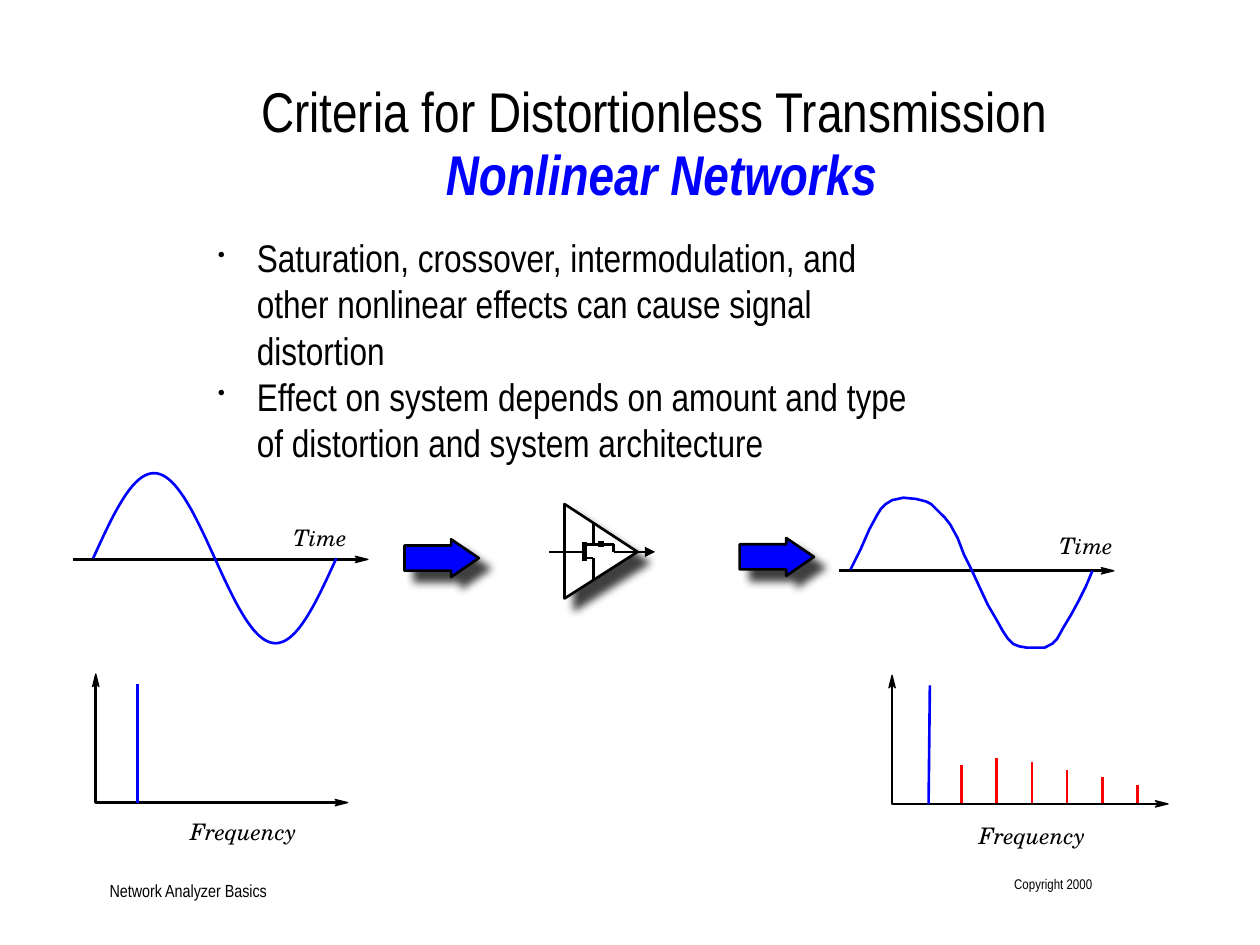
import math
from dataclasses import dataclass

import pptx
import pptx.dml.color
import pptx.enum.shapes
import pptx.enum.text
import pptx.oxml
import pptx.oxml.ns
import pptx.util

COLORS = {"black": "000000", "blue": "0000FF", "red": "FF0000",
          "white": "FFFFFF", "shadow": "404040"}
SANS = "Arial Narrow"
SERIF = "TeX Gyre Schola"
ALIGN = pptx.enum.text.PP_ALIGN
ANCHOR = pptx.enum.text.MSO_ANCHOR
Point = tuple[float, float]


@dataclass
class Label:
    text: str
    left: float
    top: float
    width: float
    height: float
    size: float = 13
    font: str = SERIF
    italic: bool = True
    align: ALIGN = ALIGN.CENTER
    anchor: ANCHOR = ANCHOR.BOTTOM


@dataclass
class Segment:
    start: Point
    end: Point
    color: str = "black"
    width: float = 1.5


@dataclass
class Spectrum:
    origin: Point
    top: float
    right: float


def length(inches: float) -> pptx.util.Cm:
    return pptx.util.Cm(inches * 2.54)


def rgb(name: str) -> pptx.dml.color.RGBColor:
    return pptx.dml.color.RGBColor.from_string(COLORS[name])


def append_xml(parent, tag: str, body: str = "", attributes: str = "") -> None:
    namespace = pptx.oxml.ns.nsdecls("a")
    parent.append(pptx.oxml.parse_xml(f"<a:{tag} {namespace} {attributes}>{body}</a:{tag}>"))


def style_run(run, size: float, font: str, color: str = "black",
              bold: bool = False, italic: bool = False) -> None:
    run.font.size = pptx.util.Pt(size)
    run.font.name = font
    run.font.color.rgb = rgb(color)
    run.font.bold = bold
    run.font.italic = italic


def clear_margins(frame) -> None:
    frame.margin_left = frame.margin_right = frame.margin_top = frame.margin_bottom = 0


def draw_label(slide, label: Label) -> None:
    shape = slide.shapes.add_textbox(*map(length, (label.left, label.top, label.width, label.height)))
    frame = shape.text_frame
    frame.word_wrap = True
    clear_margins(frame)
    frame.vertical_anchor = label.anchor
    frame.text = label.text
    frame.paragraphs[0].alignment = label.align
    style_run(frame.paragraphs[0].runs[0], label.size, label.font, italic=label.italic)


def draw_segment(slide, segment: Segment, arrow: bool = False) -> None:
    line = slide.shapes.add_connector(pptx.enum.shapes.MSO_CONNECTOR.STRAIGHT,
                                      *map(length, segment.start + segment.end))
    line.line.color.rgb = rgb(segment.color)
    line.line.width = pptx.util.Pt(segment.width)
    if arrow:
        append_xml(line.line._get_or_add_ln(), "tailEnd", attributes='type="triangle"')
    append_xml(line._element.spPr, "effectLst")


def draw_path(slide, points: list[Point], color: str = "black", width: float = 1.5,
              fill: str = "", shadow: bool = False) -> None:
    places = [(length(x), length(y)) for x, y in points]
    builder = slide.shapes.build_freeform(*places[0], scale=1.0)
    builder.add_line_segments(places[1:], close=bool(fill))
    shape = builder.convert_to_shape()
    shape.line.color.rgb = rgb(color)
    shape.line.width = pptx.util.Pt(width)
    if fill:
        shape.fill.solid()
        shape.fill.fore_color.rgb = rgb(fill)
    else:
        shape.fill.background()
    shape.shadow.inherit = False
    if shadow:
        effects = shape._element.spPr.find(pptx.oxml.ns.qn("a:effectLst"))
        append_xml(effects, "outerShdw", f'<a:srgbClr val="{COLORS["shadow"]}"/>',
                   'blurRad="63500" dist="107950" dir="2700000" algn="ctr" rotWithShape="0"')


def draw_axis_head(slide, tip: Point, direction: Point) -> None:
    along_x, along_y = direction
    outline = [(0, 0), (0.1, 0.025), (0.07, 0), (0.1, -0.025)]
    points = [(tip[0] - back * along_x - side * along_y, tip[1] - back * along_y + side * along_x)
              for back, side in outline]
    draw_path(slide, points, width=0.75, fill="black")


def draw_spectrum(slide, spectrum: Spectrum) -> None:
    x, y = spectrum.origin
    draw_path(slide, [(x, spectrum.top + 0.06), (x, y), (spectrum.right - 0.07, y)])
    draw_axis_head(slide, (x, spectrum.top), (0, -1))
    draw_axis_head(slide, (spectrum.right, y), (1, 0))


def draw_time_axis(slide, left: float, right: float, y: float) -> None:
    draw_segment(slide, Segment((left, y), (right - 0.07, y)))
    draw_axis_head(slide, (right, y), (1, 0))


def draw_block_arrow(slide, left: float, middle: float) -> None:
    neck, tip = left + 0.37, left + 0.59
    draw_path(slide, [(neck, middle + 0.15), (neck, middle + 0.1), (left, middle + 0.1),
                      (left, middle - 0.1), (neck, middle - 0.1), (neck, middle - 0.15),
                      (tip, middle)], fill="blue", shadow=True)


def draw_title(slide) -> None:
    title = slide.shapes.title
    title.left, title.top, title.width, title.height = map(length, (1.21, 0.69, 7.97, 0.67))
    frame = title.text_frame
    frame.auto_size = pptx.enum.text.MSO_AUTO_SIZE.NONE
    frame.word_wrap = True
    frame.vertical_anchor = ANCHOR.TOP
    clear_margins(frame)
    paragraph = frame.paragraphs[0]
    paragraph.text = "Criteria for Distortionless Transmission\v "
    paragraph.add_run().text = "Nonlinear Networks"
    paragraph.alignment = ALIGN.CENTER
    paragraph.line_spacing = 0.85
    heading, gap, topic = paragraph.runs
    style_run(heading, 32, SANS)
    style_run(gap, 36, SANS)
    style_run(topic, 32, SANS, "blue", bold=True, italic=True)


def draw_bullets(slide, texts: list[str]) -> None:
    frame = slide.shapes.add_textbox(*map(length, (1.63, 1.81, 5.69, 2.66))).text_frame
    frame.word_wrap = True
    frame.text = "\n".join(texts)
    for paragraph in frame.paragraphs:
        properties = paragraph._p.get_or_add_pPr()
        indent = length(0.31)
        properties.set("marL", str(indent))
        properties.set("indent", str(-indent))
        append_xml(properties, "buSzPct", attributes='val="55000"')
        append_xml(properties, "buChar", attributes='char="•"')
        style_run(paragraph.runs[0], 22, SANS)


LABELS = [
    Label("Network Analyzer Basics", 0.87, 6.97, 2.67, 0.18, 10, SANS, False, ALIGN.LEFT),
    Label("Copyright 2000", 7.83, 6.95, 0.84, 0.25, 8, SANS, False, ALIGN.RIGHT, ANCHOR.TOP),
    Label("Frequency", 1.27, 6.42, 1.32, 0.29),
    Label("Frequency", 7.53, 6.52, 1.32, 0.22),
    Label("Time", 2.21, 4.08, 0.66, 0.29),
    Label("Time", 8.29, 4.15, 0.66, 0.29),
]
HARMONIC_TOPS = [6.07, 6.02, 6.05, 6.11, 6.17, 6.23]
TRANSISTOR = [
    Segment((4.36, 4.38), (4.63, 4.38)), Segment((4.64, 4.3), (4.64, 4.45), width=2.5),
    Segment((4.64, 4.32), (4.76, 4.32)), Segment((4.71, 4.32), (4.71, 4.15)),
    Segment((4.64, 4.43), (4.71, 4.43)), Segment((4.71, 4.43), (4.71, 4.6)),
    Segment((4.76, 4.29), (4.76, 4.34)), Segment((4.78, 4.29), (4.78, 4.34)),
    Segment((4.78, 4.32), (4.87, 4.32)), Segment((4.87, 4.32), (4.87, 4.38)),
]
SINE = [(0.74 + 1.93 * step / 80, 4.43 - 0.675 * math.sin(math.tau * step / 80)) for step in range(81)]
DISTORTED = [
    (6.75, 4.52), (6.83, 4.36), (6.9, 4.2), (6.96, 4.09), (6.99, 4.04), (7.03, 4), (7.08, 3.97),
    (7.17, 3.95), (7.27, 3.96), (7.35, 3.98), (7.39, 4), (7.44, 4.05), (7.5, 4.11), (7.54, 4.16),
    (7.6, 4.27), (7.65, 4.4), (7.71, 4.52), (7.77, 4.65), (7.84, 4.8), (7.91, 4.92), (7.96, 5.01),
    (8, 5.07), (8.04, 5.11), (8.09, 5.13), (8.15, 5.14), (8.29, 5.14), (8.35, 5.11), (8.39, 5.07),
    (8.44, 4.98), (8.5, 4.88), (8.56, 4.77), (8.62, 4.65), (8.67, 4.53),
]


def main() -> None:
    presentation = pptx.Presentation()
    presentation.slide_width, presentation.slide_height = length(10), length(7.5)
    slide = presentation.slides.add_slide(presentation.slide_layouts[5])
    draw_title(slide)
    draw_bullets(slide, [
        "Saturation, crossover, intermodulation, and other nonlinear effects can cause signal distortion",
        "Effect on system depends on amount and type of distortion and system architecture"])
    for label in LABELS:
        draw_label(slide, label)
    draw_spectrum(slide, Spectrum((0.76, 6.37), 5.35, 2.76))
    draw_spectrum(slide, Spectrum((7.08, 6.38), 5.36, 9.27))
    draw_segment(slide, Segment((1.09, 6.37), (1.09, 5.43), "blue"))
    draw_segment(slide, Segment((7.37, 6.38), (7.38, 5.44), "blue"))
    for index, top in enumerate(HARMONIC_TOPS):
        x = 7.63 + 0.28 * index
        draw_segment(slide, Segment((x, top), (x, 6.37), "red"))
    draw_time_axis(slide, 0.58, 2.92, 4.44)
    draw_time_axis(slide, 6.66, 8.84, 4.53)
    draw_path(slide, SINE, "blue")
    draw_path(slide, DISTORTED, "blue")
    draw_block_arrow(slide, 3.21, 4.43)
    draw_block_arrow(slide, 5.87, 4.42)
    draw_path(slide, [(4.48, 4.75), (5.06, 4.38), (4.48, 4)], fill="white", shadow=True)
    for segment in TRANSISTOR:
        draw_segment(slide, segment)
    draw_segment(slide, Segment((4.87, 4.38), (5.2, 4.38)), arrow=True)
    presentation.save("out.pptx")


if __name__ == "__main__":
    main()
